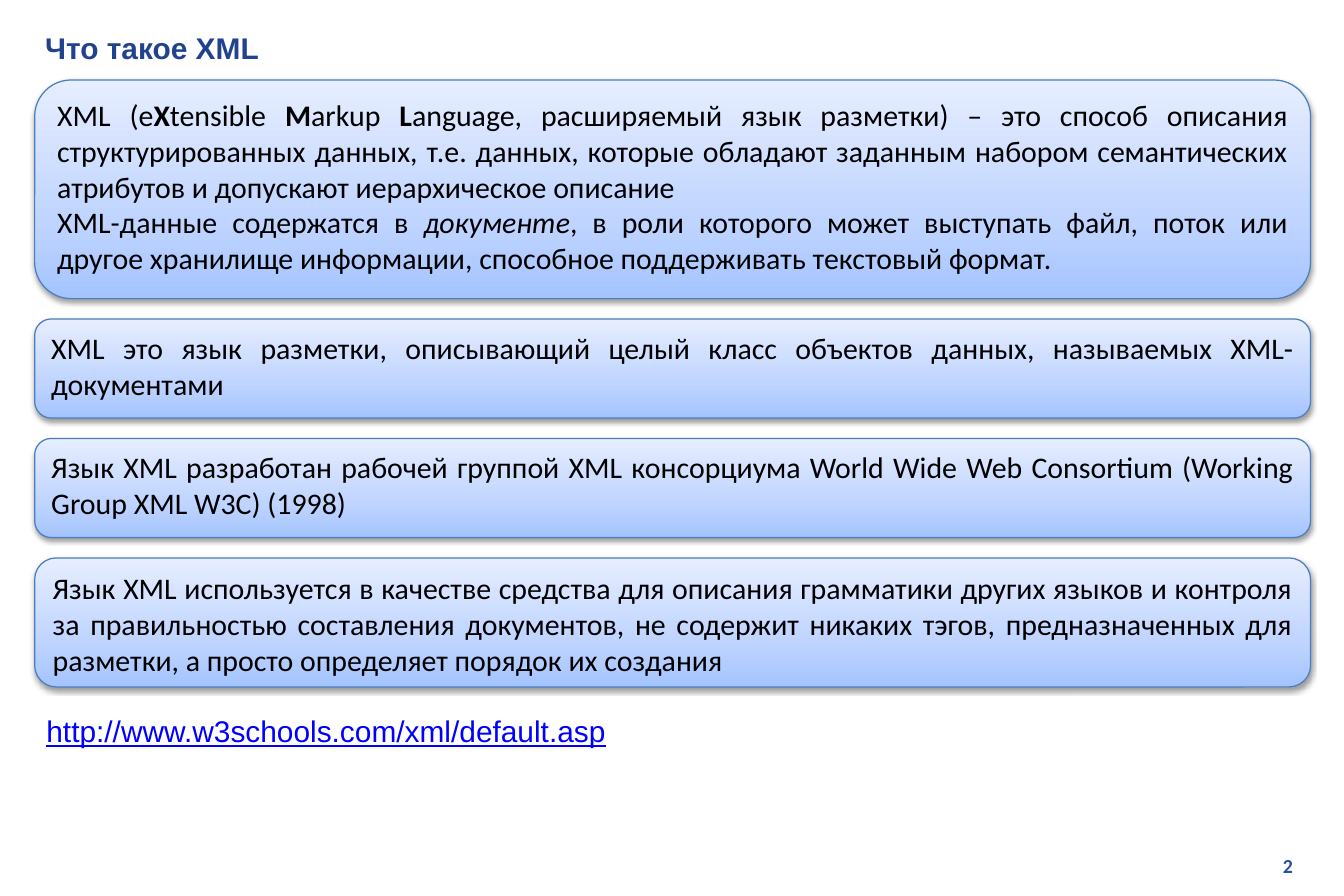
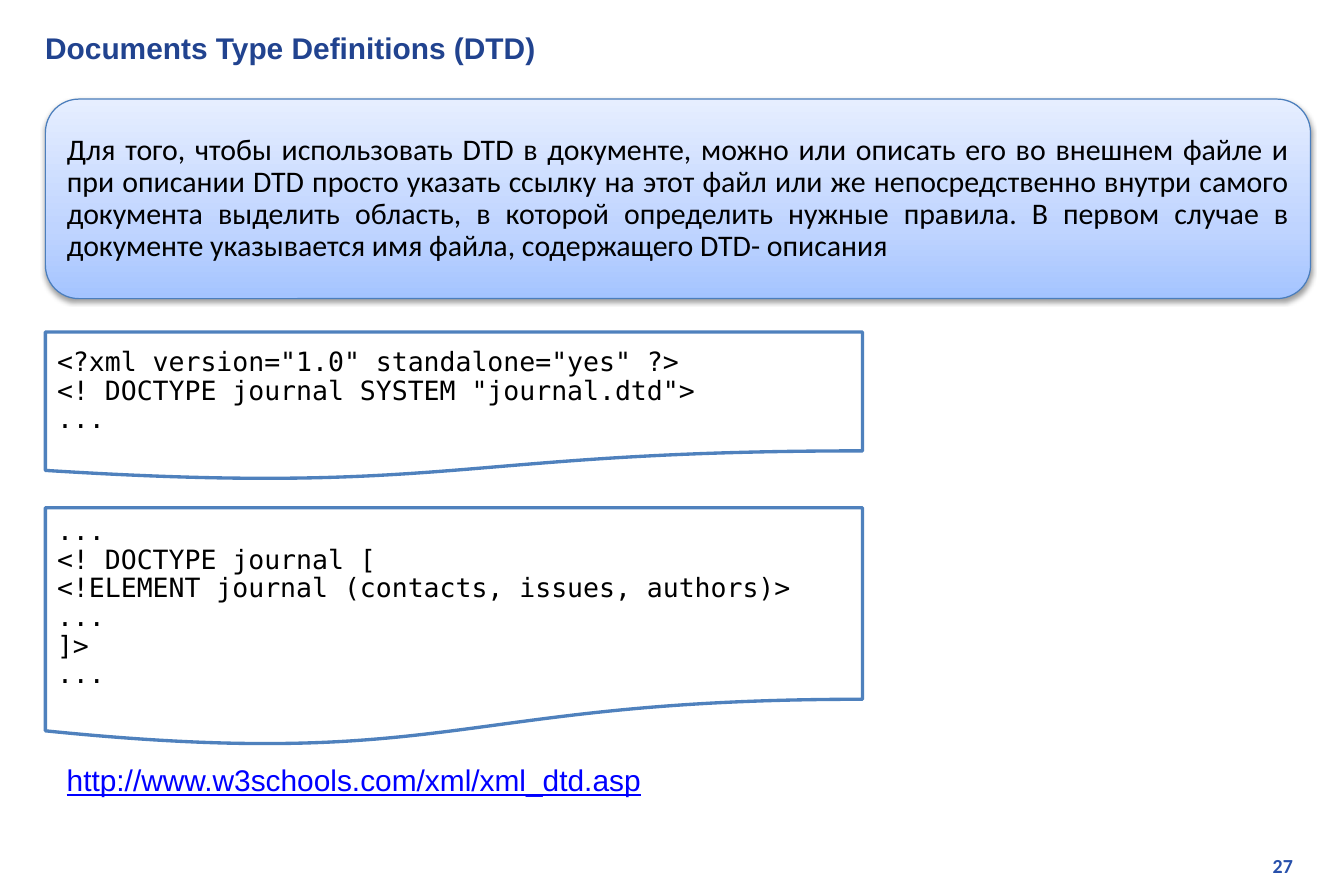
import copy

import pptx
import pptx.dml.color
import pptx.enum.shapes
import pptx.enum.text
import pptx.oxml
import pptx.oxml.ns
import pptx.util

Inches = pptx.util.Inches
Pt = pptx.util.Pt
rgb = pptx.dml.color.RGBColor.from_string
SHAPE = pptx.enum.shapes.MSO_SHAPE
ALIGN = pptx.enum.text.PP_ALIGN
ANCHOR = pptx.enum.text.MSO_ANCHOR

TITLE, NUMBER, TEXT, LINK = "21438F", "2750AB", "000000", "0000FF"
PANEL_STOPS = [(0, "A4C4FF"), (0.35, "BFD4FF"), (1, "E6EEFF")]
PANEL_LINE, CODE_LINE, CODE_FILL = "4B7EBC", "4F81BD", "FFFFFF"
BODY, HEAD, CODE = "Calibri", "Arial", "DejaVu Sans Mono"
PANEL_RIGHT = 10.97
PANEL_GAP = 0.17
SHADOW = (
    f'<a:outerShdw {pptx.oxml.ns.nsdecls("a")} blurRad="{Pt(3.1)}" dist="{Pt(1.6)}" '
    'dir="5400000" rotWithShape="0"><a:srgbClr val="000000">'
    '<a:alpha val="38000"/></a:srgbClr></a:outerShdw>'
)


def write(sp, paragraphs, font, size, color, align=ALIGN.LEFT, spacing=None,
          anchor=ANCHOR.TOP, bold=False, underline=False):
    """Fill a shape with paragraphs, each a list of (text, style); style is "", "b" or "i"."""
    tf = sp.text_frame
    tf.word_wrap = True
    tf.vertical_anchor = anchor
    for i, runs in enumerate(paragraphs):
        p = tf.paragraphs[0] if i == 0 else tf.add_paragraph()
        p.alignment = align
        p.line_spacing = spacing
        for text, style in runs:
            r = p.add_run()
            r.text = text
            r.font.name = font
            r.font.size = Pt(size)
            r.font.color.rgb = rgb(color)
            r.font.bold = bold or style == "b"
            r.font.italic = style == "i"
            r.font.underline = underline


def add_panel(s, left, top, height):
    """Add a rounded panel with the shared gradient, outline and shadow."""
    sp = s.shapes.add_shape(SHAPE.ROUNDED_RECTANGLE, Inches(left), Inches(top),
                            Inches(PANEL_RIGHT - left), Inches(height))
    sp.fill.gradient()
    sp.fill.gradient_angle = 90
    spPr = sp._element.spPr
    stop_list = spPr.find(".//" + pptx.oxml.ns.qn("a:gsLst"))
    stop_list.append(copy.deepcopy(stop_list[0]))
    for stop, (position, color) in zip(sp.fill.gradient_stops, PANEL_STOPS):
        stop.position = position
        stop.color.rgb = rgb(color)
    sp.line.color.rgb = rgb(PANEL_LINE)
    sp.line.width = Pt(0.75)
    sp.shadow.inherit = False
    effects = spPr.find(pptx.oxml.ns.qn("a:effectLst"))
    effects.append(pptx.oxml.parse_xml(SHADOW))
    return sp


prs = pptx.Presentation()
prs.slide_width = Inches(11.25)
prs.slide_height = Inches(7.5)

# Shared title, page number and web address
frames = [
    ("Что такое XML", "2", "http://www.w3schools.com/xml/default.asp", 0.29, 5.92),
    ("Documents Type Definitions (DTD)", "27",
     "http://www.w3schools.com/xml/xml_dtd.asp", 0.46, 6.33),
]
for title, number, address, link_left, link_top in frames:
    s = prs.slides.add_slide(prs.slide_layouts[6])
    sp = s.shapes.add_textbox(Inches(8.54), Inches(7.1), Inches(2.38), Inches(0.3))
    write(sp, [[(number, "")]], BODY, 12, NUMBER, ALIGN.RIGHT, bold=True)
    sp = s.shapes.add_textbox(Inches(0.28), Inches(0.2), Inches(10.74), Inches(0.4))
    write(sp, [[(title, "")]], HEAD, 18, TITLE, anchor=ANCHOR.MIDDLE, bold=True)
    sp = s.shapes.add_textbox(Inches(link_left), Inches(link_top), Inches(6), Inches(0.4))
    write(sp, [[(address, "")]], HEAD, 18, LINK, underline=True)

xml_slide, dtd_slide = prs.slides

# What XML is: a stack of panels
xml_panels = [
    (1.83, [
        [("XML (e", ""), ("X", "b"), ("tensible ", ""), ("M", "b"), ("arkup ", ""),
         ("L", "b"),
         ("anguage, расширяемый язык разметки) – это способ описания структурированных "
          "данных, т.е. данных, которые обладают заданным набором семантических "
          "атрибутов и допускают иерархическое описание", "")],
        [("XML-данные содержатся в ", ""), ("документе", "i"),
         (", в роли которого может выступать файл, поток или другое хранилище "
          "информации, способное поддерживать текстовый формат.", "")],
    ]),
    (0.83, [[("XML это язык разметки, описывающий целый класс объектов данных, "
              "называемых XML- документами", "")]]),
    (0.83, [[("Язык XML разработан рабочей группой XML консорциума World Wide Web "
              "Consortium (Working Group XML W3C) (1998)", "")]]),
    (1.08, [[("Язык XML используется в качестве средства для описания грамматики "
              "других языков и контроля за правильностью составления документов, не "
              "содержит никаких тэгов, предназначенных для разметки, а просто "
              "определяет порядок их создания", "")]]),
]
top = 0.67
for height, paragraphs in xml_panels:
    sp = add_panel(xml_slide, 0.29, top, height)
    write(sp, paragraphs, BODY, 18, TEXT, ALIGN.JUSTIFY)
    top += height + PANEL_GAP

# DTD: explanation and two code samples
sp = add_panel(dtd_slide, 0.38, 0.83, 1.67)
write(sp, [[("Для того, чтобы использовать DTD в документе, можно или описать его во "
             "внешнем файле и при описании DTD просто указать ссылку на этот файл или "
             "же непосредственно внутри самого документа выделить область, в которой "
             "определить нужные правила. В первом случае в документе указывается имя "
             "файла, содержащего DTD- описания", "")]],
      BODY, 18, TEXT, ALIGN.JUSTIFY, 0.9, ANCHOR.MIDDLE)

code_samples = [
    (2.78, 1.24, ['<?xml version="1.0" standalone="yes" ?>',
                  '<! DOCTYPE journal SYSTEM "journal.dtd">',
                  "..."]),
    (4.25, 2, ["...",
               "<! DOCTYPE journal [",
               "<!ELEMENT journal (contacts, issues, authors)>",
               "...",
               "]>",
               "..."]),
]
for top, height, lines in code_samples:
    sp = dtd_slide.shapes.add_shape(SHAPE.FLOWCHART_DOCUMENT, Inches(0.38), Inches(top),
                                    Inches(6.84), Inches(height))
    sp.shadow.inherit = False
    sp.fill.solid()
    sp.fill.fore_color.rgb = rgb(CODE_FILL)
    sp.line.color.rgb = rgb(CODE_LINE)
    sp.line.width = Pt(2)
    write(sp, [[(line, "")] for line in lines], CODE, 16, TEXT,
          spacing=0.9, anchor=ANCHOR.MIDDLE)

prs.save("out.pptx")
